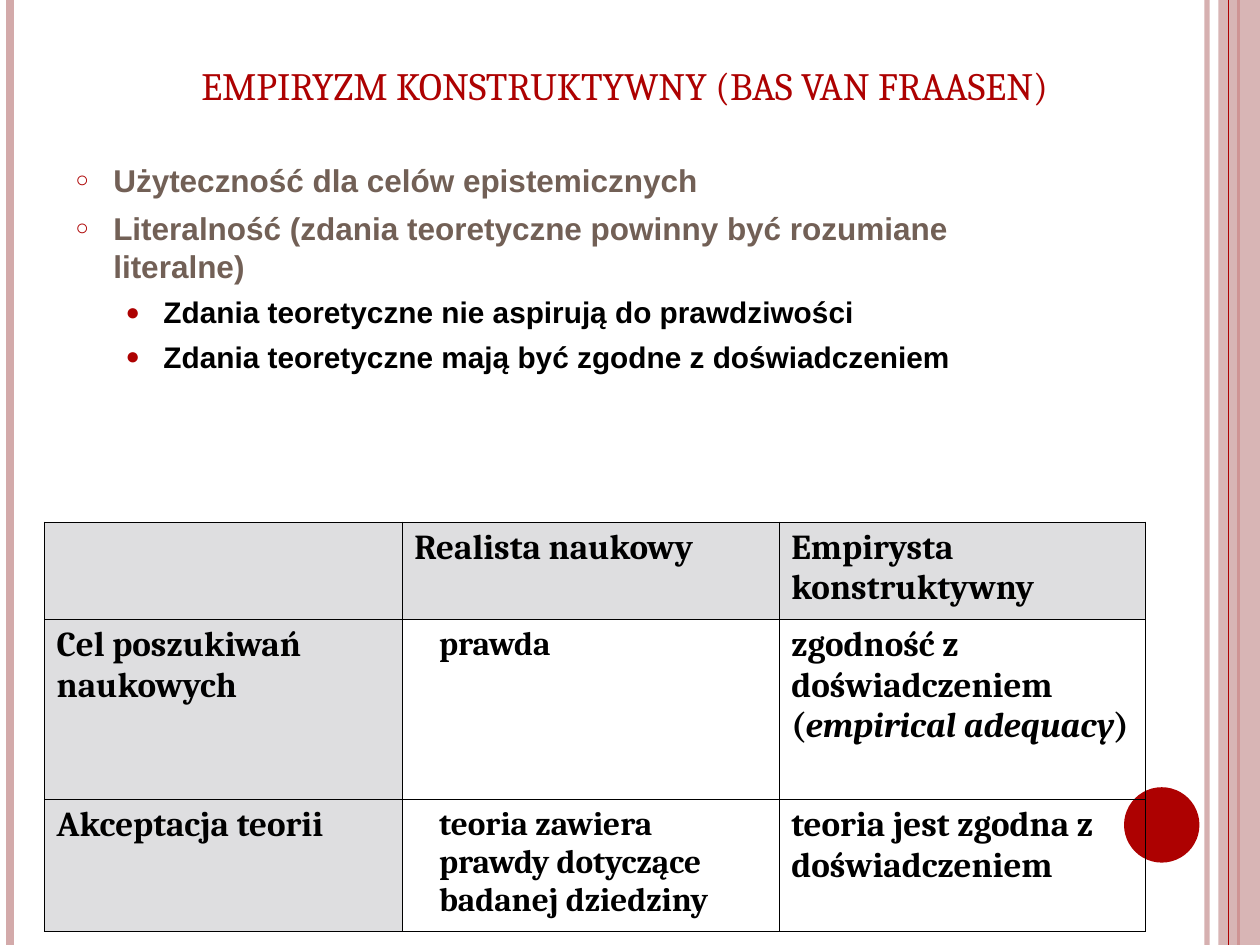
from typing import NamedTuple

from lxml import etree
from pptx import Presentation
from pptx import util as u
from pptx.dml.color import RGBColor
from pptx.enum import shapes, text
from pptx.oxml.ns import qn

INK = {"red": "AD0101", "pink": "D3AAAA", "brown": "726056",
       "black": "000000", "gray": "DEDEE0"}
HIGH = 19.05


class Rule(NamedTuple):
    x: float
    width: float
    ink: str
    alpha: int = 100


class Item(NamedTuple):
    words: str
    level: int = 0


class Level(NamedTuple):
    left: float
    mark: str
    scale: int
    size: float
    ink: str
    gap: float


class Column(NamedTuple):
    width: float
    size: float
    left: float
    gap: float


RULES = [Rule(24.33, 3, "pink", 93), Rule(0.2, 4.5, "pink"), Rule(24.97, 1.5, "red")]
EDGE = Rule(24.77, 0.75, "red")
LEVELS = [Level(0.76, "○", 70, 18, "brown", 6), Level(1.77, "●", 80, 17, "black", 5.2)]
ITEMS = [
    Item("Użyteczność dla celów epistemicznych"),
    Item("Literalność (zdania teoretyczne powinny być rozumiane literalne)"),
    Item("Zdania teoretyczne nie aspirują do prawdziwości", 1),
    Item("Zdania teoretyczne mają być zgodne z doświadczeniem", 1),
]
COLUMNS = [Column(7.21, 20, 0, 6), Column(7.6, 19, 0.5, 4.8), Column(7.39, 20, 0, 6)]
HEIGHTS = [1.96, 3.63, 2.67]
# Words between bars are set in italics.
CELLS = [
    ["", "Realista naukowy", "Empirysta konstruktywny"],
    ["Cel poszukiwań naukowych", "prawda",
     "zgodność z doświadczeniem (|empirical adequacy|)"],
    ["Akceptacja teorii", "teoria zawiera prawdy dotyczące badanej dziedziny",
     "teoria jest zgodna z doświadczeniem"],
]


def color(name: str) -> RGBColor:
    return RGBColor.from_string(INK[name])


def style(font, face: str, size: float, ink: str, bold: bool = True) -> None:
    font.name, font.size, font.bold = face, u.Pt(size), bold
    font.color.rgb = color(ink)


def fade(shape, alpha: int) -> None:
    for tint in shape.element.spPr.iter(qn("a:srgbClr")):
        etree.SubElement(tint, qn("a:alpha"), val=str(alpha * 1000))


def place(shape, left: float, top: float, width: float, height: float) -> None:
    shape.left, shape.top = u.Cm(left), u.Cm(top)
    shape.width, shape.height = u.Cm(width), u.Cm(height)


def draw_rule(slide, rule: Rule) -> None:
    x = u.Cm(rule.x)
    line = slide.shapes.add_connector(
        shapes.MSO_CONNECTOR.STRAIGHT, x, 0, x, u.Cm(HIGH))
    line.line.width = u.Pt(rule.width)
    line.line.color.rgb = color(rule.ink)
    if rule.alpha < 100:
        fade(line, rule.alpha)
    etree.SubElement(line.element.spPr, qn("a:effectLst"))


def draw_solid(slide, kind, box: tuple, ink: str):
    shape = slide.shapes.add_shape(kind, *map(u.Cm, box))
    shape.shadow.inherit = False
    shape.fill.solid()
    shape.fill.fore_color.rgb = color(ink)
    shape.line.fill.background()
    return shape


def draw_frame(slide) -> None:
    """Draw the side stripes and the disc."""
    for rule in RULES:
        draw_rule(slide, rule)
    band = draw_solid(slide, shapes.MSO_SHAPE.RECTANGLE, (24.56, 0, 0.84, HIGH), "pink")
    fade(band, 87)
    draw_rule(slide, EDGE)
    draw_solid(slide, shapes.MSO_SHAPE.OVAL, (22.66, 15.87, 1.52, 1.52), "red")


def raise_up(shape) -> None:
    """Bring a shape to the front."""
    shape.element.getparent().append(shape.element)


def set_title(title) -> None:
    place(title, 1.27, 0.76, 22.63, 1.55)
    frame = title.text_frame
    frame.text = "EMPIRYZM KONSTRUKTYWNY (BAS VAN FRAASEN)"
    frame.auto_size = text.MSO_AUTO_SIZE.NONE
    frame.vertical_anchor = text.MSO_ANCHOR.BOTTOM
    para = frame.paragraphs[0]
    para.alignment = text.PP_ALIGN.CENTER
    style(para.runs[0].font, "Cambria", 22.1, "red", False)
    raise_up(title)


def add_mark(para, level: Level) -> None:
    props = para._p.get_or_add_pPr()
    props.set("marL", str(u.Cm(level.left)))
    props.set("indent", str(-u.Cm(0.76)))
    tint = etree.SubElement(props, qn("a:buClr"))
    etree.SubElement(tint, qn("a:srgbClr"), val=INK["red"])
    etree.SubElement(props, qn("a:buSzPct"), val=str(level.scale * 1000))
    etree.SubElement(props, qn("a:buFont"), typeface="Arial")
    etree.SubElement(props, qn("a:buChar"), char=level.mark)


def set_list(body) -> None:
    place(body, 1.27, 3.12, 20.75, 14.86)
    frame = body.text_frame
    frame.auto_size = text.MSO_AUTO_SIZE.NONE
    for i, item in enumerate(ITEMS):
        para = frame.add_paragraph() if i else frame.paragraphs[0]
        level = LEVELS[item.level]
        para.text, para.level = item.words, item.level
        add_mark(para, level)
        para.space_before = u.Pt(level.gap if i else 0)
        style(para.runs[0].font, "Arial", level.size, level.ink)
    raise_up(body)


def add_edges(cell, row: int, col: int) -> None:
    """Rule a cell: thicker lines on the rim of the table."""
    rim = {"L": col == 0, "R": col == len(COLUMNS) - 1,
           "T": row == 0, "B": row == len(HEIGHTS) - 1}
    props = cell._tc.get_or_add_tcPr()
    for i, (side, outer) in enumerate(rim.items()):
        line = etree.Element(qn(f"a:ln{side}"), w=str(u.Pt(0.23 if outer else 0.11)))
        fill = etree.SubElement(line, qn("a:solidFill"))
        etree.SubElement(fill, qn("a:srgbClr"), val=INK["black"])
        props.insert(i, line)


def set_cell(cell, row: int, col: int) -> None:
    column = COLUMNS[col]
    if row == 0 or col == 0:
        cell.fill.solid()
        cell.fill.fore_color.rgb = color("gray")
    else:
        cell.fill.background()
    add_edges(cell, row, col)
    para = cell.text_frame.paragraphs[0]
    head = row == 0
    para._p.get_or_add_pPr().set("marL", str(u.Cm(0 if head else column.left)))
    for i, part in enumerate(CELLS[row][col].split("|")):
        run = para.add_run()
        run.text = part
        style(run.font, "Cambria", 20 if head else column.size, "black")
        run.font.italic = i % 2 == 1


def draw_table(slide) -> None:
    wide = sum(column.width for column in COLUMNS)
    box = map(u.Cm, (0.89, 10.52, wide, sum(HEIGHTS)))
    table = slide.shapes.add_table(len(HEIGHTS), len(COLUMNS), *box).table
    for col, column in enumerate(COLUMNS):
        table.columns[col].width = u.Cm(column.width)
    for row, height in enumerate(HEIGHTS):
        table.rows[row].height = u.Cm(height)
        for col in range(len(COLUMNS)):
            set_cell(table.cell(row, col), row, col)


def main() -> None:
    deck = Presentation()
    deck.slide_width, deck.slide_height = u.Cm(25.4), u.Cm(HIGH)
    slide = deck.slides.add_slide(deck.slide_layouts[1])
    draw_frame(slide)
    set_title(slide.shapes.title)
    set_list(slide.placeholders[1])
    draw_table(slide)
    deck.save("out.pptx")


if __name__ == "__main__":
    main()
